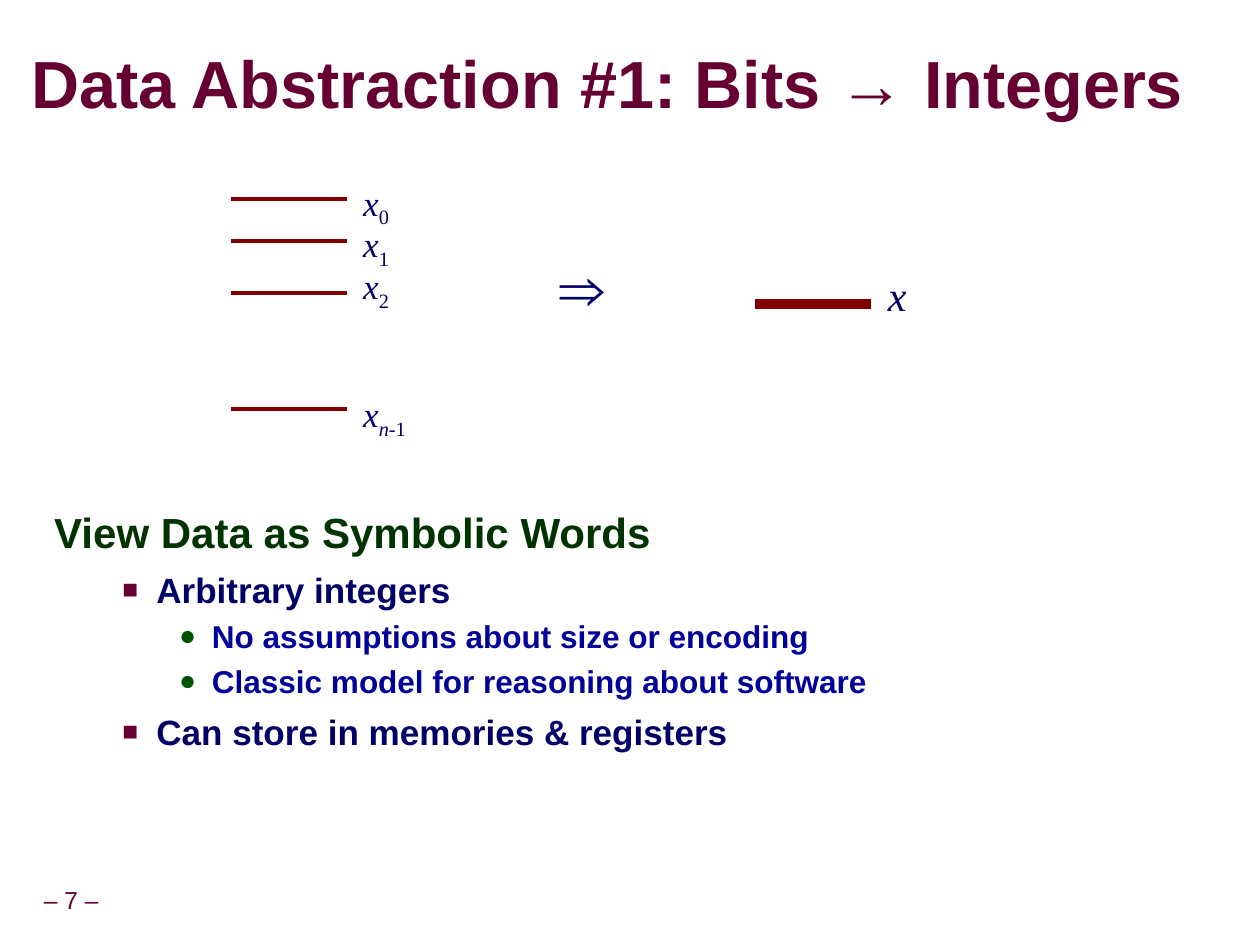
from dataclasses import dataclass

from lxml import etree
from pptx import Presentation
from pptx.dml.color import RGBColor
from pptx.enum.shapes import MSO_CONNECTOR
from pptx.enum.text import MSO_ANCHOR, MSO_AUTO_SIZE, PP_ALIGN
from pptx.oxml.ns import qn
from pptx.util import Inches, Pt

STRAIGHT = MSO_CONNECTOR.STRAIGHT
MIDDLE, TOP = MSO_ANCHOR.MIDDLE, MSO_ANCHOR.TOP
LEFT, CENTER = PP_ALIGN.LEFT, PP_ALIGN.CENTER
NO_AUTOFIT = MSO_AUTO_SIZE.NONE


@dataclass(frozen=True)
class Theme:
    sans: str = "Arial"
    serif: str = "Times New Roman"
    maroon: str = "660033"
    wire: str = "800000"
    navy: str = "000066"
    blue: str = "000099"
    heading_green: str = "003300"
    bullet_green: str = "005400"
    shadow: str = "969696"
    title_size: float = 38
    arrow_size: float = 36
    heading_size: float = 24
    label_size: float = 20
    detail_size: float = 18
    number_size: float = 14


THEME = Theme()


@dataclass(frozen=True)
class Style:
    size: float
    color: str
    font: str = THEME.sans
    bold: bool = False


@dataclass(frozen=True)
class Span:
    text: str
    italic: bool = False
    subscript: bool = False


@dataclass(frozen=True)
class Label:
    spans: tuple[Span, ...]
    place: tuple[float, float, float, float]
    style: Style
    align: PP_ALIGN = LEFT
    wrap: bool = False


@dataclass(frozen=True)
class Wire:
    left: float
    y: float
    weight: float


@dataclass(frozen=True)
class Level:
    style: Style
    margin: float
    indent: float
    line_spacing: float
    space_before: float
    bullet: str = ""
    bullet_color: str = ""
    bullet_percent: int = 100


WIRE_LENGTH = 0.92
SYMBOL = Style(THEME.label_size, THEME.navy, THEME.serif)
X = Span("x", italic=True)

WIRES = [Wire(1.83, y, 2.25) for y in (1.58, 1.91, 2.32, 3.24)] + [Wire(5.99, 2.41, 6)]

LABELS = [
    Label((X, Span(str(bit), subscript=True)), (2.83, 1.39 + 0.33 * bit, 0.31, 0.44), SYMBOL)
    for bit in range(3)
] + [
    Label((X, Span("n", True, True), Span("-1", subscript=True)),
          (2.83, 3.07, 0.66, 0.44), SYMBOL, wrap=True),
    Label((X,), (6.99, 2.13, 0.66, 0.46),
          Style(THEME.heading_size, THEME.navy, THEME.serif), wrap=True),
    Label((Span("⇒"),), (4.37, 1.99, 0.5, 0.64),
          Style(THEME.arrow_size, THEME.navy, bold=True), CENTER),
    Label((Span("– 7 –"),), (-0.09, 6.99, 1.31, 0.31),
          Style(THEME.number_size, THEME.maroon), CENTER),
]

LEVELS = [
    Level(Style(THEME.heading_size, THEME.heading_green, bold=True), 0.42, -0.42, 0.95, 0),
    Level(Style(THEME.label_size, THEME.navy, bold=True), 0.81, -0.27, 1.0, 6.2,
          "■", THEME.maroon, 75),
    Level(Style(THEME.detail_size, THEME.blue, bold=True), 1.25, -0.26, 1.07, 2.2,
          "●", THEME.bullet_green, 90),
]

OUTLINE = [
    (0, "View Data as Symbolic Words"),
    (1, "Arbitrary integers"),
    (2, "No assumptions about size or encoding"),
    (2, "Classic model for reasoning about software"),
    (1, "Can store in memories & registers"),
]


def add_span(para, span: Span, style: Style):
    run = para.add_run()
    run.text = span.text
    font = run.font
    font.name, font.size, font.bold = style.font, Pt(style.size), style.bold
    font.italic = span.italic
    font.color.rgb = RGBColor.from_string(style.color)
    if span.subscript:
        run._r.get_or_add_rPr().set("baseline", "-25000")
    return run


def add_text_shadow(run) -> None:
    effects = etree.Element(qn("a:effectLst"))
    shadow = etree.SubElement(effects, qn("a:outerShdw"), dist="50800", dir="2700000")
    etree.SubElement(shadow, qn("a:srgbClr"), val=THEME.shadow)
    run._r.get_or_add_rPr().find(qn("a:solidFill")).addnext(effects)


def format_frame(frame, anchor: MSO_ANCHOR, side: float, edge: float, wrap: bool = True) -> None:
    frame.auto_size, frame.word_wrap, frame.vertical_anchor = NO_AUTOFIT, wrap, anchor
    frame.margin_left = frame.margin_right = Inches(side)
    frame.margin_top = frame.margin_bottom = Inches(edge)


def move(shape, left: float, top: float, width: float, height: float) -> None:
    shape.left, shape.top = Inches(left), Inches(top)
    shape.width, shape.height = Inches(width), Inches(height)


def set_level(para, number: int) -> None:
    level = LEVELS[number]
    para.level = number
    properties = para._p.get_or_add_pPr()
    properties.set("marL", str(Inches(level.margin)))
    properties.set("indent", str(Inches(level.indent)))
    if level.bullet:
        color = etree.SubElement(properties, qn("a:buClr"))
        etree.SubElement(color, qn("a:srgbClr"), val=level.bullet_color)
        etree.SubElement(properties, qn("a:buSzPct"), val=str(level.bullet_percent * 1000))
        etree.SubElement(properties, qn("a:buFont"), typeface=THEME.sans)
        etree.SubElement(properties, qn("a:buChar"), char=level.bullet)
    else:
        etree.SubElement(properties, qn("a:buNone"))
    para.alignment = LEFT
    para.line_spacing, para.space_before = level.line_spacing, Pt(level.space_before)


def fill_title(title) -> None:
    move(title, 0.25, 0.27, 9.71, 0.85)
    format_frame(title.text_frame, MIDDLE, 0, 0)
    para = title.text_frame.paragraphs[0]
    para.alignment, para.line_spacing = LEFT, 0.87
    style = Style(THEME.title_size, THEME.maroon, bold=True)
    add_text_shadow(add_span(para, Span("Data Abstraction #1: Bits → Integers"), style))


def fill_body(body) -> None:
    move(body, 0.33, 3.99, 9.07, 2.38)
    frame = body.text_frame
    format_frame(frame, TOP, 0.1, 0.05)
    for index, (number, text) in enumerate(OUTLINE):
        para = frame.add_paragraph() if index else frame.paragraphs[0]
        set_level(para, number)
        add_span(para, Span(text), LEVELS[number].style)


def draw_wire(page, wire: Wire) -> None:
    y = Inches(wire.y)
    line = page.shapes.add_connector(
        STRAIGHT, Inches(wire.left), y, Inches(wire.left + WIRE_LENGTH), y)
    line.line.color.rgb = RGBColor.from_string(THEME.wire)
    line.line.width = Pt(wire.weight)
    etree.SubElement(line._element.spPr, qn("a:effectLst"))


def draw_label(page, label: Label) -> None:
    box = page.shapes.add_textbox(*(Inches(length) for length in label.place))
    format_frame(box.text_frame, MIDDLE, 0.05, 0.05, label.wrap)
    para = box.text_frame.paragraphs[0]
    para.alignment, para.line_spacing = label.align, 0.9
    for span in label.spans:
        add_span(para, span, label.style)


def main() -> None:
    deck = Presentation()
    deck.slide_width, deck.slide_height = Inches(9.99), Inches(7.49)
    page = deck.slides.add_slide(deck.slide_layouts[1])

    # Title and outline
    fill_title(page.shapes.title)
    fill_body(page.placeholders[1])

    # Bit wires, integer wire and their labels
    for wire in WIRES:
        draw_wire(page, wire)
    for label in LABELS:
        draw_label(page, label)

    deck.save("out.pptx")


if __name__ == "__main__":
    main()
